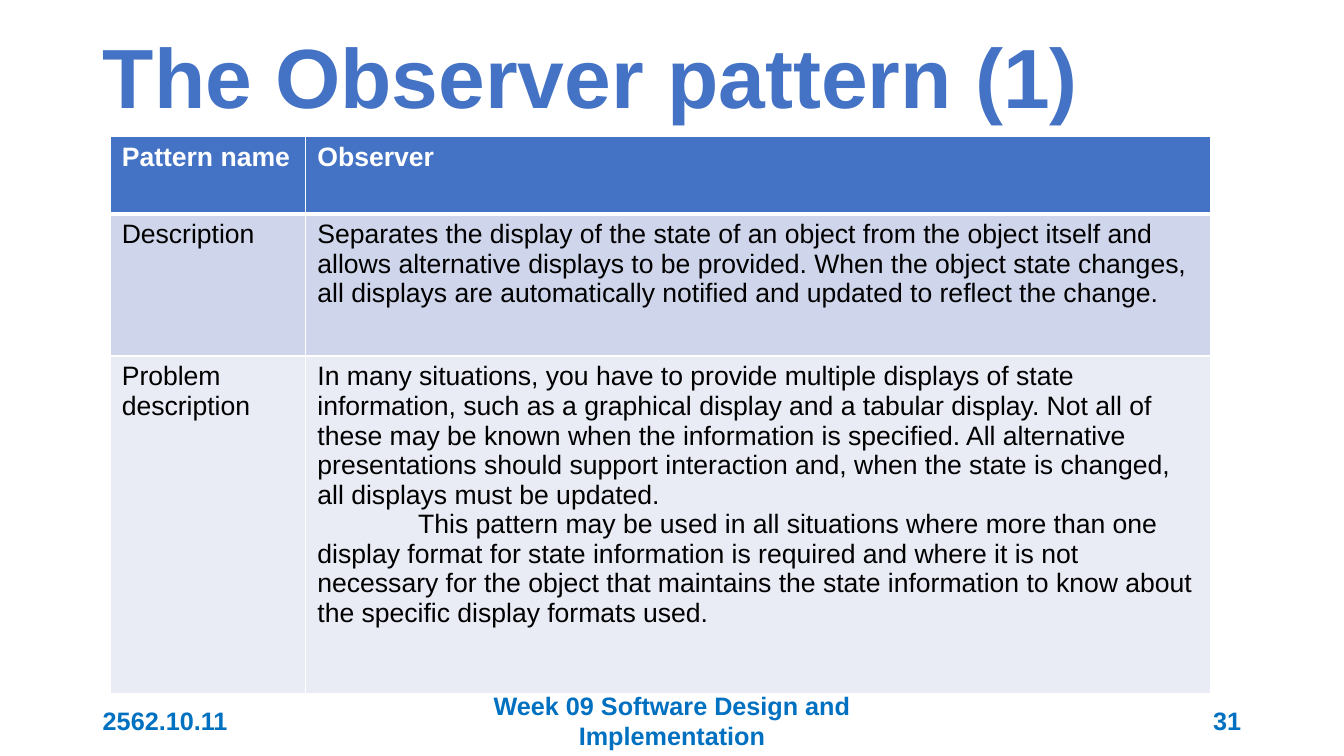
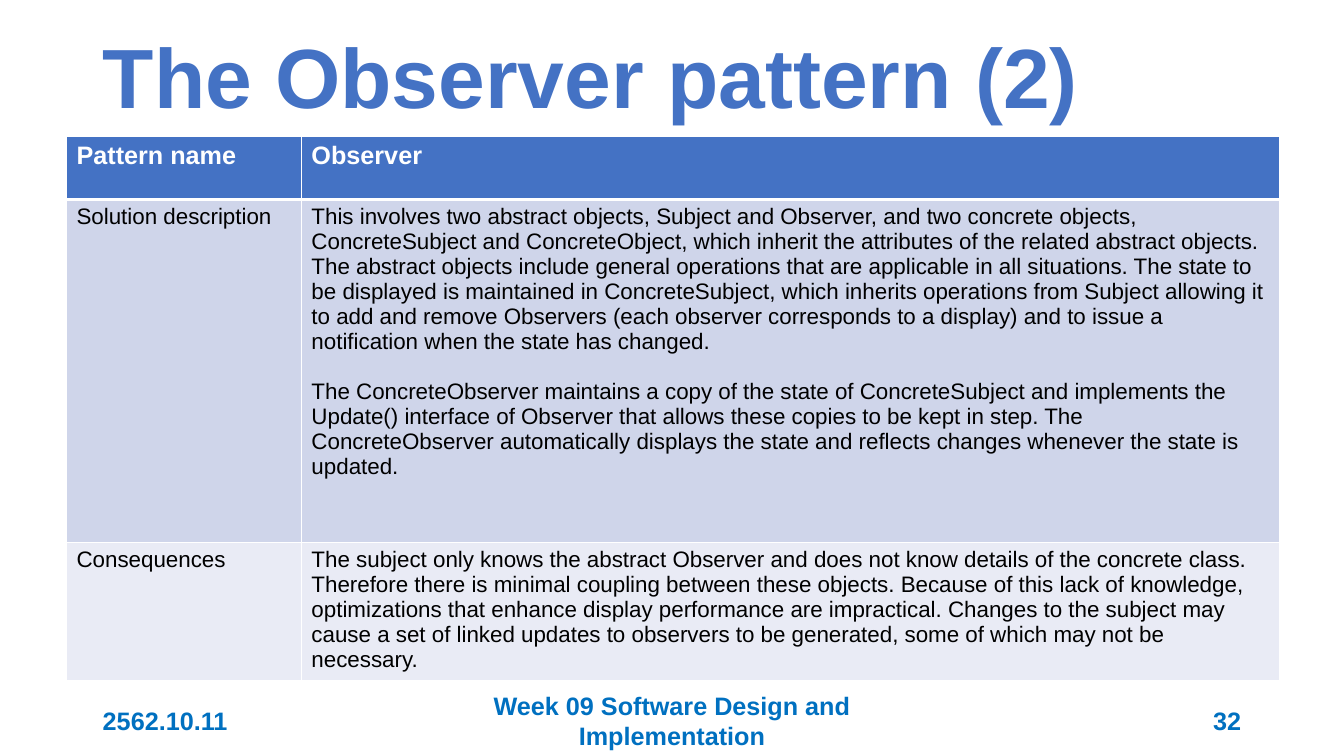
import lxml.etree
import pptx
import pptx.dml.color
import pptx.enum.text
import pptx.oxml.ns
import pptx.util

Cm = pptx.util.Cm
Pt = pptx.util.Pt
Align = pptx.enum.text.PP_ALIGN
Anchor = pptx.enum.text.MSO_ANCHOR
RGBColor = pptx.dml.color.RGBColor

BLUE = RGBColor(0x44, 0x72, 0xC4)
FOOTER_BLUE = RGBColor(0x00, 0x70, 0xC0)
WHITE = RGBColor(0xFF, 0xFF, 0xFF)
BLACK = RGBColor(0x00, 0x00, 0x00)
ROW_FILLS = (BLUE, RGBColor(0xCF, 0xD5, 0xEA), RGBColor(0xE9, 0xEB, 0xF5))

SLIDE_WIDTH, SLIDE_HEIGHT = 33.87, 19.05
MARGIN = 2.34
TITLE_BOX = (MARGIN, 0.66, 29.2, 2.77)
FOOTER_TOP, FOOTER_HEIGHT = 17.65, 1.02
DATE_WIDTH, FOOTER_WIDTH = 7.62, 11.43
TABLE_TOP = 3.43

TITLE_FONT = {"name": "Arial", "size": Pt(60), "bold": True}
FOOTER_FONT = {"name": "Arial", "size": Pt(18), "bold": True}
FOOTER_DATE = "2562.10.11"
FOOTER_TEXT = "Week 09 Software Design and Implementation"

SLIDES = [
    {
        "title": "The Observer pattern (1)",
        "number": 31,
        "left": 2.77,
        "columns": (4.93, 22.81),
        "rows": (1.96, 3.58, 8.51),
        "sizes": (19, 19),
        "insets": (0.3, 0.15),
        "second": {"indent": Cm(2.54)},
        "cells": [
            ("Pattern name", "Observer"),
            ("Description",
             "Separates the display of the state of an object from the object itself "
             "and allows alternative displays to be provided. When the object state "
             "changes, all displays are automatically notified and updated to reflect "
             "the change."),
            ("Problem description",
             "In many situations, you have to provide multiple displays of state "
             "information, such as a graphical display and a tabular display. Not all "
             "of these may be known when the information is specified. All alternative "
             "presentations should support interaction and, when the state is changed, "
             "all displays must be updated.\n"
             "This pattern may be used in all situations where more than one display "
             "format for state information is required and where it is not necessary "
             "for the object that maintains the state information to know about the "
             "specific display formats used."),
        ],
    },
    {
        "title": "The Observer pattern (2)",
        "number": 32,
        "left": 1.68,
        "columns": (5.92, 24.64),
        "rows": (1.6, 8.64, 3.48),
        "sizes": (18, 16),
        "insets": (0.25, 0.13),
        "second": {"space": Pt(18)},
        "cells": [
            ("Pattern name", "Observer"),
            ("Solution description",
             "This involves two abstract objects, Subject and Observer, and two "
             "concrete objects, ConcreteSubject and ConcreteObject, which inherit the "
             "attributes of the related abstract objects. The abstract objects include "
             "general operations that are applicable in all situations. The state to "
             "be displayed is maintained in ConcreteSubject, which inherits operations "
             "from Subject allowing it to add and remove Observers (each observer "
             "corresponds to a display) and to issue a notification when the state has "
             "changed.\n"
             "The ConcreteObserver maintains a copy of the state of ConcreteSubject "
             "and implements the Update() interface of Observer that allows these "
             "copies to be kept in step. The ConcreteObserver automatically displays "
             "the state and reflects changes whenever the state is updated."),
            ("Consequences",
             "The subject only knows the abstract Observer and does not know details "
             "of the concrete class. Therefore there is minimal coupling between these "
             "objects. Because of this lack of knowledge, optimizations that enhance "
             "display performance are impractical. Changes to the subject may cause a "
             "set of linked updates to observers to be generated, some of which may "
             "not be necessary."),
        ],
    },
]


def apply_format(target, values):
    """Set every attribute named in a dict of format values."""
    for name, value in values.items():
        setattr(target, name, value)


def write_paragraph(para, text, font, color, align=Align.LEFT):
    """Write one formatted run into a paragraph."""
    para.alignment = align
    span = para.add_run()
    span.text = text
    apply_format(span.font, font)
    span.font.color.rgb = color


def add_title(page, text, box):
    """Place and format the title placeholder."""
    title = page.shapes.title
    apply_format(title, dict(zip(("left", "top", "width", "height"), map(Cm, box))))
    apply_format(title.text_frame, {
        "word_wrap": True,
        "vertical_anchor": Anchor.MIDDLE,
        "auto_size": pptx.enum.text.MSO_AUTO_SIZE.NONE,
    })
    para = title.text_frame.paragraphs[0]
    para.line_spacing = 0.9
    write_paragraph(para, text, TITLE_FONT, BLUE)


def add_footer(page, number, top, height):
    """Place date, centred footer and slide number in one band."""
    parts = (
        (FOOTER_DATE, MARGIN, DATE_WIDTH, Align.LEFT),
        (FOOTER_TEXT, (SLIDE_WIDTH - FOOTER_WIDTH) / 2, FOOTER_WIDTH, Align.CENTER),
        (str(number), SLIDE_WIDTH - MARGIN - DATE_WIDTH, DATE_WIDTH, Align.RIGHT),
    )
    for text, left, width, align in parts:
        box = page.shapes.add_textbox(Cm(left), Cm(top), Cm(width), Cm(height))
        apply_format(box.text_frame, {"word_wrap": True, "vertical_anchor": Anchor.MIDDLE})
        write_paragraph(box.text_frame.paragraphs[0], text, FOOTER_FONT, FOOTER_BLUE, align)


def add_borders(cell, row):
    """Draw white cell borders, thick between header and body."""
    widths = {"lnL": 1, "lnR": 1, "lnT": 3 if row == 1 else 1, "lnB": 3 if row == 0 else 1}
    qualify = pptx.oxml.ns.qn
    properties = cell._tc.get_or_add_tcPr()
    for tag, width in widths.items():
        line = lxml.etree.SubElement(properties, qualify("a:" + tag), w=str(Pt(width)))
        fill = lxml.etree.SubElement(line, qualify("a:solidFill"))
        lxml.etree.SubElement(fill, qualify("a:srgbClr"), val=str(WHITE))


def fill_cell(cell, text, row, content):
    """Format one table cell and write its paragraphs."""
    side, edge = map(Cm, content["insets"])
    apply_format(cell, {
        "margin_left": side, "margin_right": side,
        "margin_top": edge, "margin_bottom": edge,
        "vertical_anchor": Anchor.TOP,
    })
    add_borders(cell, row)
    cell.fill.solid()
    cell.fill.fore_color.rgb = ROW_FILLS[row]
    header = row == 0
    font = {"name": "Arial", "size": Pt(content["sizes"][0 if header else 1]), "bold": header}
    frame = cell.text_frame
    for index, line in enumerate(text.split("\n")):
        para = frame.add_paragraph() if index else frame.paragraphs[0]
        write_paragraph(para, line, font, WHITE if header else BLACK)
        if index and "space" in content["second"]:
            para.space_before = content["second"]["space"]
        if index and "indent" in content["second"]:
            para._p.get_or_add_pPr().set("indent", str(content["second"]["indent"]))


def add_pattern_table(page, content, left, top):
    """Build the pattern table from its top left corner."""
    columns, rows = content["columns"], content["rows"]
    table = page.shapes.add_table(
        len(rows), len(columns), Cm(left), Cm(top), Cm(sum(columns)), Cm(sum(rows))
    ).table
    for column, width in zip(table.columns, columns):
        column.width = Cm(width)
    for index, (row, height) in enumerate(zip(table.rows, rows)):
        row.height = Cm(height)
        for cell, text in zip(row.cells, content["cells"][index]):
            fill_cell(cell, text, index, content)


def add_pattern_slide(deck, content):
    """Add one slide with title, pattern table and footer."""
    page = deck.slides.add_slide(deck.slide_layouts.get_by_name("Title Only"))
    add_title(page, content["title"], TITLE_BOX)
    add_pattern_table(page, content, content["left"], TABLE_TOP)
    add_footer(page, content["number"], FOOTER_TOP, FOOTER_HEIGHT)


def main():
    """Build and save the deck."""
    deck = pptx.Presentation()
    apply_format(deck, {"slide_width": Cm(SLIDE_WIDTH), "slide_height": Cm(SLIDE_HEIGHT)})
    for content in SLIDES:
        add_pattern_slide(deck, content)
    deck.save("out.pptx")


if __name__ == "__main__":
    main()
